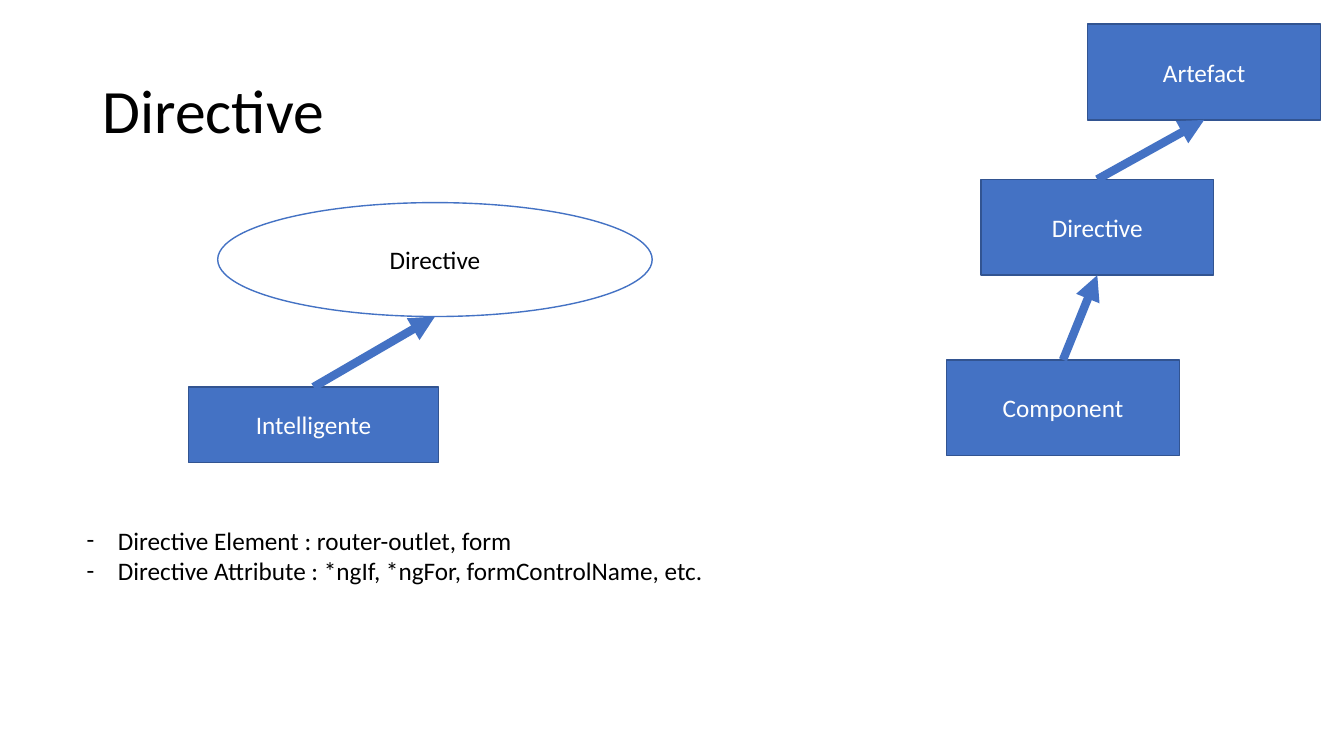
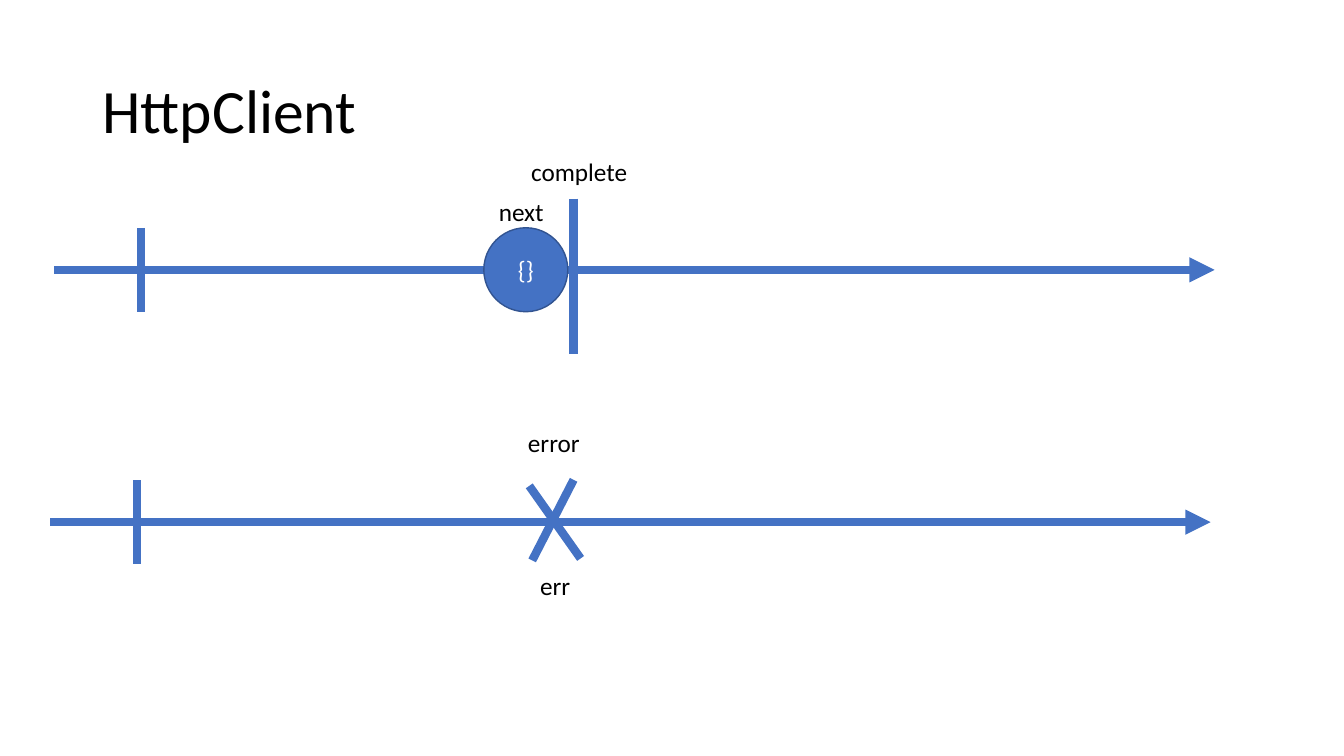
from lxml import etree
from pptx import Presentation
from pptx.dml.color import RGBColor
from pptx.enum.shapes import MSO_CONNECTOR, MSO_SHAPE
from pptx.enum.text import MSO_ANCHOR, MSO_AUTO_SIZE, PP_ALIGN
from pptx.oxml.ns import qn
from pptx.util import Inches, Pt

RECT, OVAL = MSO_SHAPE.RECTANGLE, MSO_SHAPE.OVAL
LINE = MSO_CONNECTOR.STRAIGHT
MID, TOP = MSO_ANCHOR.MIDDLE, MSO_ANCHOR.TOP
LEFT, CENTER = PP_ALIGN.LEFT, PP_ALIGN.CENTER
FIXED = MSO_AUTO_SIZE.NONE

FONT = "Calibri"
BLUE, EDGE, WHITE, BLACK = "4472C4", "325491", "FFFFFF", "000000"
LIST_LAYOUT, TITLE_LAYOUT = 1, 5


def color(code):
    return RGBColor.from_string(code)


class Deck:
    def __init__(self):
        self.prs = Presentation()
        self.prs.slide_width = Inches(13.33)
        self.prs.slide_height = Inches(7.5)
        self.col = self.prs.slide_width / 100
        self.row = self.prs.slide_height / 100
        self.slide = None

    def grid(self, x, y):
        return round(x * self.col), round(y * self.row)

    def place(self, shape, x, y, w, h):
        shape.left, shape.top = self.grid(x, y)
        shape.width, shape.height = self.grid(w, h)

    def words(self, shape, lines, size=18, ink=BLACK, align=LEFT,
              anchor=TOP, wrap=True, space=1.0):
        frame = shape.text_frame
        frame.auto_size = FIXED
        frame.word_wrap = wrap
        frame.vertical_anchor = anchor
        for i, line in enumerate(lines):
            para = frame.add_paragraph() if i else frame.paragraphs[0]
            para.alignment = align
            para.line_spacing = space
            para.space_before = Pt(0)
            run = para.add_run()
            run.text = line
            run.font.name = FONT
            run.font.size = Pt(size)
            run.font.color.rgb = color(ink)

    def page(self, title, layout):
        self.slide = self.prs.slides.add_slide(self.prs.slide_layouts[layout])
        head = self.slide.shapes.title
        self.place(head, 6.88, 5.33, 86.25, 19.33)
        self.words(head, [title], 44, anchor=MID, space=0.9)

    def items(self, lines, x, y, w, h):
        body = self.slide.placeholders[1]
        self.place(body, x, y, w, h)
        self.words(body, lines, wrap=False)
        for para in body.text_frame.paragraphs:
            props = para._p.get_or_add_pPr()
            props.set("marL", str(Inches(0.31)))
            props.set("indent", str(-Inches(0.31)))
            etree.SubElement(props, qn("a:buFont")).set("typeface", FONT)
            etree.SubElement(props, qn("a:buChar")).set("char", "-")

    def node(self, text, x, y, w, h, kind=RECT, fill=BLUE, edge=EDGE, ink=WHITE):
        shape = self.slide.shapes.add_shape(
            kind, *self.grid(x, y), *self.grid(w, h))
        shape.shadow.inherit = False
        shape.fill.solid()
        shape.fill.fore_color.rgb = color(fill)
        shape.line.color.rgb = color(edge)
        shape.line.width = Pt(1)
        self.words(shape, [text], ink=ink, align=CENTER, anchor=MID)
        return x + w / 2, y, y + h

    def label(self, text, x, y, w):
        box = self.slide.shapes.add_textbox(
            *self.grid(x, y), *self.grid(w, 5.33))
        self.words(box, [text], wrap=False)

    def line(self, x1, y1, x2, y2, arrow=False):
        link = self.slide.shapes.add_connector(
            LINE, *self.grid(x1, y1), *self.grid(x2, y2))
        link.line.color.rgb = color(BLUE)
        link.line.width = Pt(6)
        props = link._element.spPr
        if arrow:
            stroke = props.find(qn("a:ln"))
            etree.SubElement(stroke, qn("a:tailEnd")).set("type", "triangle")
        etree.SubElement(props, qn("a:effectLst"))

    def rise(self, low, high):
        self.line(low[0], low[1], high[0], high[2], True)


deck = Deck()

deck.page("Directive", LIST_LAYOUT)
chain = [deck.node(text, x, y, 17.33, 12.67) for text, x, y in (
    ("Artefact", 80.93, 3.2),
    ("Directive", 72.98, 23.73),
    ("Component", 70.43, 47.6))]
for high, low in zip(chain, chain[1:]):
    deck.rise(low, high)
goal = deck.node("Directive", 16.2, 26.8, 32.33, 15.07, OVAL, WHITE, BLUE, BLACK)
smart = deck.node("Intelligente", 14.03, 51.2, 18.6, 10)
deck.rise(smart, goal)
deck.items(["Directive Element : router-outlet, form",
            "Directive Attribute : *ngIf, *ngFor, formControlName, etc."],
           5.7, 68.8, 47.93, 9.47)

deck.page("HttpClient", TITLE_LAYOUT)
for left, mid in ((4.05, 35.7), (3.75, 69.07)):
    deck.line(left, mid, left + 86.33, mid, True)
    deck.line(left + 6.45, mid - 5.56, left + 6.45, mid + 5.56)
deck.node("{}", 36, 30.13, 6.25, 11.11, OVAL)
for ends in ((42.68, 26.27, 42.68, 46.8),
             (39.38, 64.27, 43.2, 73.87),
             (42.68, 63.47, 39.6, 74.13)):
    deck.line(*ends)
for text, x, y, w in (("next", 36.38, 25.33, 4.88),
                      ("complete", 38.78, 20, 8.78),
                      ("error", 38.55, 55.87, 5.4),
                      ("err", 39.45, 74.8, 3.75)):
    deck.label(text, x, y, w)

deck.prs.save("out.pptx")
